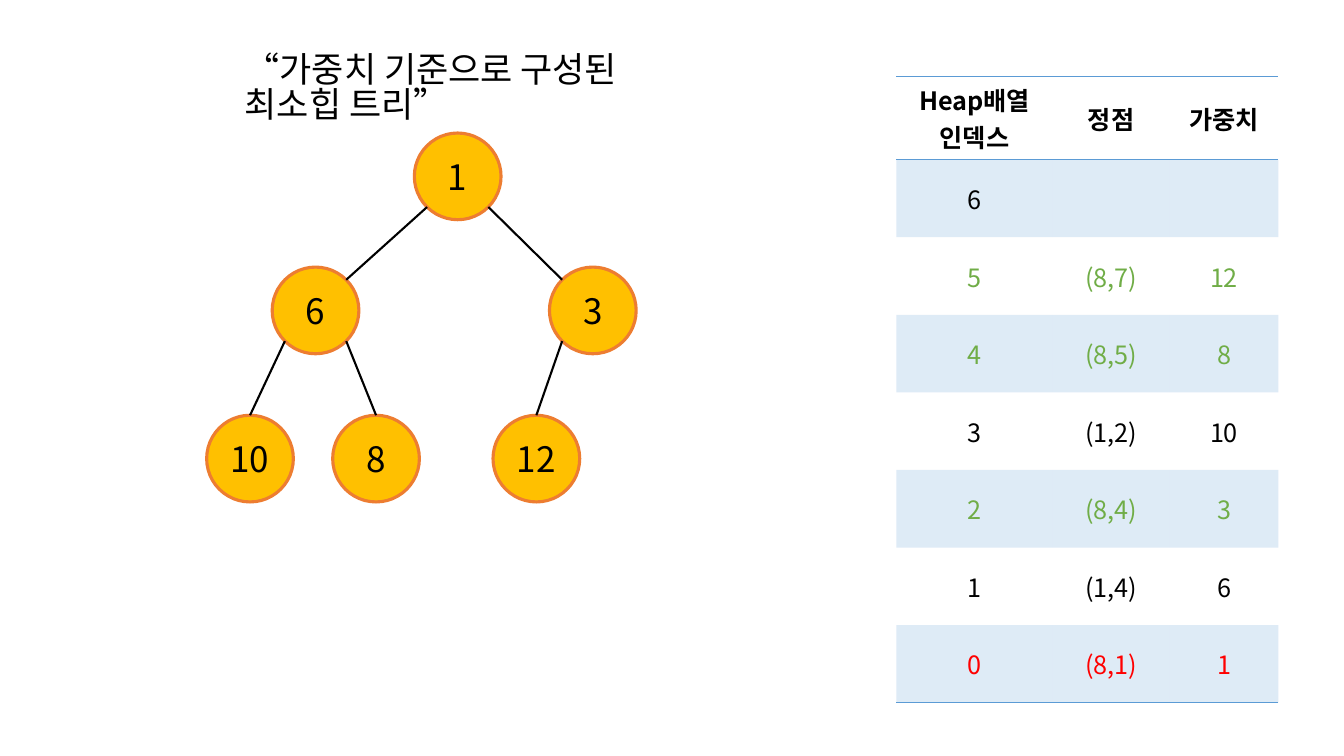
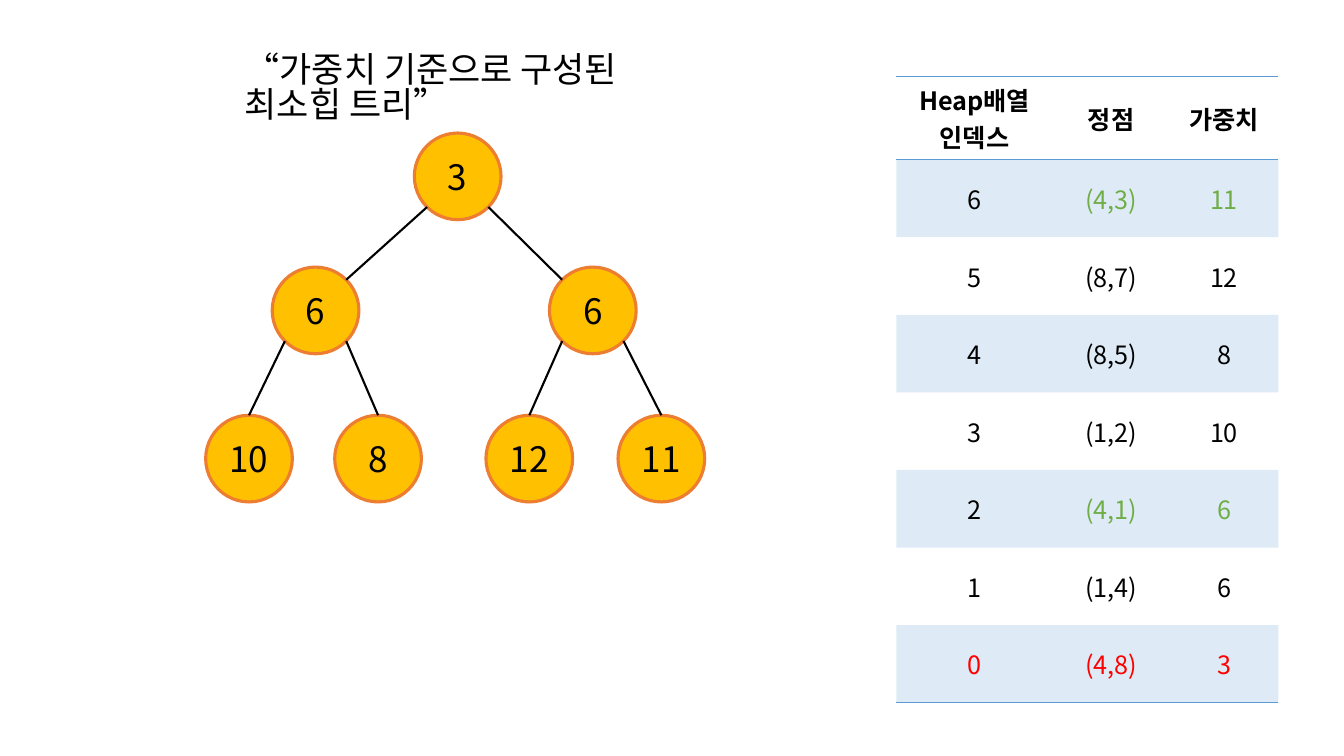
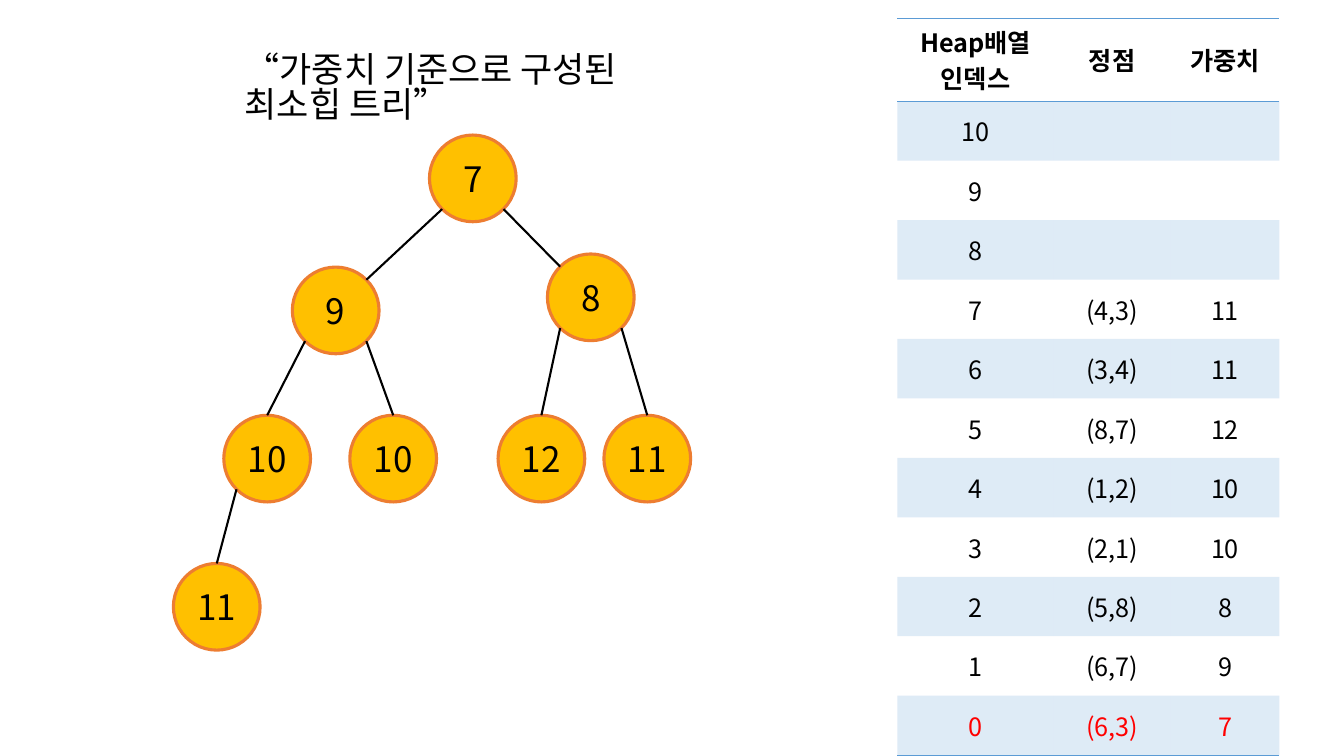
"""Three steps of a weighted min-heap, each shown as a tree beside its array."""
from lxml import etree
from pptx import Presentation
from pptx.dml.color import RGBColor
from pptx.enum import shapes, text
from pptx.oxml import ns
from pptx.util import Inches, Pt

FONT = "Noto Sans CJK KR"
BLACK = RGBColor(0x00, 0x00, 0x00)
RED = RGBColor(0xFF, 0x00, 0x00)
GREEN = RGBColor(0x70, 0xAD, 0x47)
BLUE = RGBColor(0x5B, 0x9B, 0xD5)
GOLD = RGBColor(0xFF, 0xC0, 0x00)
ORANGE = RGBColor(0xED, 0x7D, 0x31)

TITLE = "“가중치 기준으로 구성된 최소힙 트리”"
HEADINGS = ("Heap배열\n인덱스", "정점", "가중치")
COLUMN_WIDTHS = (1.55, 1.16, 1.08)
PLAIN_TABLE = "{2D5ABB26-0587-4C30-8999-92F81FD0307C}"
DIAMETER = 0.86
RADIUS = DIAMETER / 2
DIAGONAL = RADIUS * 0.5 ** 0.5

STEPS = (
    {
        "heap": [("(8,1)", 1), ("(1,4)", 6), ("(8,4)", 3), ("(1,2)", 10), ("(8,5)", 8), ("(8,7)", 12)],
        "places": [(2.39, 0), (0.98, 1.33), (3.73, 1.33), (0.33, 2.8), (1.58, 2.8), (3.17, 2.8)],
        "capacity": 7,
        "changed": {2, 4, 5},
        "changed_index": GREEN,
        "table": (8.89, 0.76, 0.72, 0.77),
    },
    {
        "heap": [("(4,8)", 3), ("(1,4)", 6), ("(4,1)", 6), ("(1,2)", 10), ("(8,5)", 8), ("(8,7)", 12),
                 ("(4,3)", 11)],
        "places": [(2.39, 0), (0.98, 1.33), (3.73, 1.33), (0.32, 2.8), (1.6, 2.8), (3.1, 2.8),
                   (4.41, 2.8)],
        "capacity": 7,
        "changed": {2, 6},
        "changed_index": BLACK,
        "table": (8.89, 0.76, 0.72, 0.77),
    },
    {
        "heap": [("(6,3)", 7), ("(6,7)", 9), ("(5,8)", 8), ("(2,1)", 10), ("(1,2)", 10), ("(8,7)", 12),
                 ("(3,4)", 11), ("(4,3)", 11)],
        "places": [(2.54, 0.02), (1.18, 1.33), (3.71, 1.2), (0.5, 2.8), (1.75, 2.8), (3.22, 2.8),
                   (4.27, 2.8), (0, 4.27)],
        "capacity": 11,
        "changed": set(),
        "changed_index": BLACK,
        "table": (8.9, 0.18, 0.7, 0.59),
    },
)


def write(frame, content, size, color=BLACK, bold=False, align=text.PP_ALIGN.CENTER):
    """Fill a text frame and format its paragraphs and runs."""
    frame.text = content
    for paragraph in frame.paragraphs:
        paragraph.alignment = align
        paragraph.font.size = Pt(size)
        for run in paragraph.runs:
            run.font.size = Pt(size)
            run.font.bold = bold
            run.font.color.rgb = color
            run.font.name = FONT
            etree.SubElement(run.font._element, ns.qn("a:ea"), typeface=FONT)


def add_title(slide, left, top, width, height):
    """Place the quoted heading above the tree."""
    heading = slide.shapes.add_textbox(Inches(left), Inches(top), Inches(width), Inches(height))
    heading.text_frame.word_wrap = True
    write(heading.text_frame, TITLE, 25, align=text.PP_ALIGN.LEFT)
    heading.text_frame.paragraphs[0].line_spacing = 0.83


def add_node(slide, left, top, weight):
    """Draw one tree node with its weight."""
    node = slide.shapes.add_shape(
        shapes.MSO_SHAPE.OVAL, Inches(left), Inches(top), Inches(DIAMETER), Inches(DIAMETER))
    node.shadow.inherit = False
    node.fill.solid()
    node.fill.fore_color.rgb = GOLD
    node.line.color.rgb = ORANGE
    node.line.width = Pt(2.25)
    node.text_frame.word_wrap = False
    node.text_frame.vertical_anchor = text.MSO_ANCHOR.MIDDLE
    write(node.text_frame, str(weight), 25)


def add_edge(slide, start, end):
    """Draw a plain black line between two points."""
    edge = slide.shapes.add_connector(
        shapes.MSO_CONNECTOR.STRAIGHT, *(Inches(value) for value in (*start, *end)))
    edge.line.color.rgb = BLACK
    edge.line.width = Pt(1.5)
    etree.SubElement(edge._element.spPr, ns.qn("a:effectLst"))


def add_tree(slide, left, top, heap, places):
    """Draw the heap as a binary tree, each child joined to its parent."""
    centers = [(left + x + RADIUS, top + y + RADIUS) for x, y in places]
    for (x, y), (_, weight) in zip(centers, heap):
        add_node(slide, x - RADIUS, y - RADIUS, weight)
    for child in range(1, len(centers)):
        parent = (child - 1) // 2
        side = -1 if child % 2 else 1
        x, y = centers[parent]
        start = (x + side * DIAGONAL, y + DIAGONAL)
        x, y = centers[child]
        end = (x - side * DIAGONAL, y - DIAGONAL) if parent == 0 else (x, y - RADIUS)
        add_edge(slide, start, end)


def style_cell(cell, banded, ruled):
    """Give a cell its ruled edges and its band fill."""
    cell.vertical_anchor = text.MSO_ANCHOR.MIDDLE
    properties = cell._tc.get_or_add_tcPr()
    for edge in ruled:
        line = etree.SubElement(properties, ns.qn(f"a:{edge}"), w=str(Pt(1)))
        fill = etree.SubElement(line, ns.qn("a:solidFill"))
        etree.SubElement(fill, ns.qn("a:srgbClr"), val=str(BLUE))
    if banded:
        cell.fill.solid()
        cell.fill.fore_color.rgb = BLUE
        tint = properties.find(".//" + ns.qn("a:solidFill") + "[last()]")
        tint = properties.find(ns.qn("a:solidFill")) if tint is not None else tint
        etree.SubElement(tint[0], ns.qn("a:alpha"), val="20000")
    else:
        cell.fill.background()


def add_heap_table(slide, box, heap, capacity, changed, changed_index):
    """List the heap array from its last slot down to the root."""
    left, top, header_height, row_height = box
    heights = [header_height] + [row_height] * capacity
    frame = slide.shapes.add_table(
        len(heights), len(COLUMN_WIDTHS), Inches(left), Inches(top),
        Inches(sum(COLUMN_WIDTHS)), Inches(sum(heights)))
    table = frame.table
    table._tbl.tblPr.find(ns.qn("a:tableStyleId")).text = PLAIN_TABLE
    for column, width in zip(table.columns, COLUMN_WIDTHS):
        column.width = Inches(width)
    for row, height in zip(table.rows, heights):
        row.height = Inches(height)
    for cell, heading in zip(table.rows[0].cells, HEADINGS):
        write(cell.text_frame, heading, 18, bold=True)
        style_cell(cell, False, ("lnT", "lnB"))
    for number in range(1, capacity + 1):
        slot = capacity - number
        vertex, weight = heap[slot] if slot < len(heap) else ("", "")
        color = RED if slot == 0 else GREEN if slot in changed else BLACK
        index_color = changed_index if slot in changed else color
        entries = ((slot, index_color), (vertex, color), (weight, color))
        for cell, (value, ink) in zip(table.rows[number].cells, entries):
            write(cell.text_frame, str(value), 18, ink)
            style_cell(cell, number % 2 == 1, ("lnB",) if slot == 0 else ())


def add_step(deck, step):
    """Build one slide with the heading, the tree and the array."""
    slide = deck.slides.add_slide(deck.slide_layouts[6])
    add_heap_table(slide, step["table"], step["heap"], step["capacity"],
                   step["changed"], step["changed_index"])
    add_title(slide, 2.33, 0.49, 4.76, 0.52)
    add_tree(slide, 1.72, 1.32, step["heap"], step["places"])


def main():
    """Build and save the deck."""
    deck = Presentation()
    deck.slide_width = Inches(13.33)
    deck.slide_height = Inches(7.5)
    for step in STEPS:
        add_step(deck, step)
    deck.save("out.pptx")


if __name__ == "__main__":
    main()
